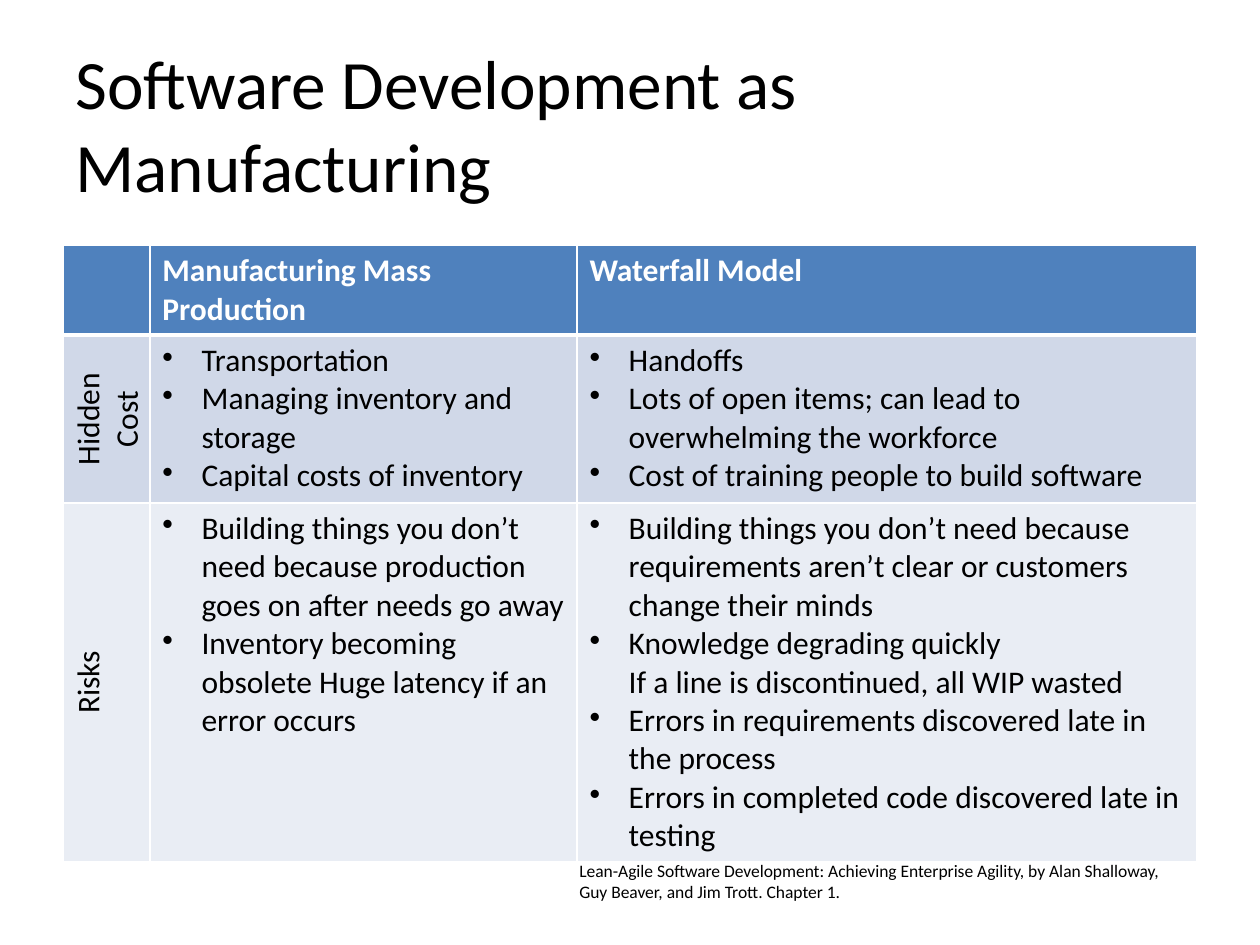
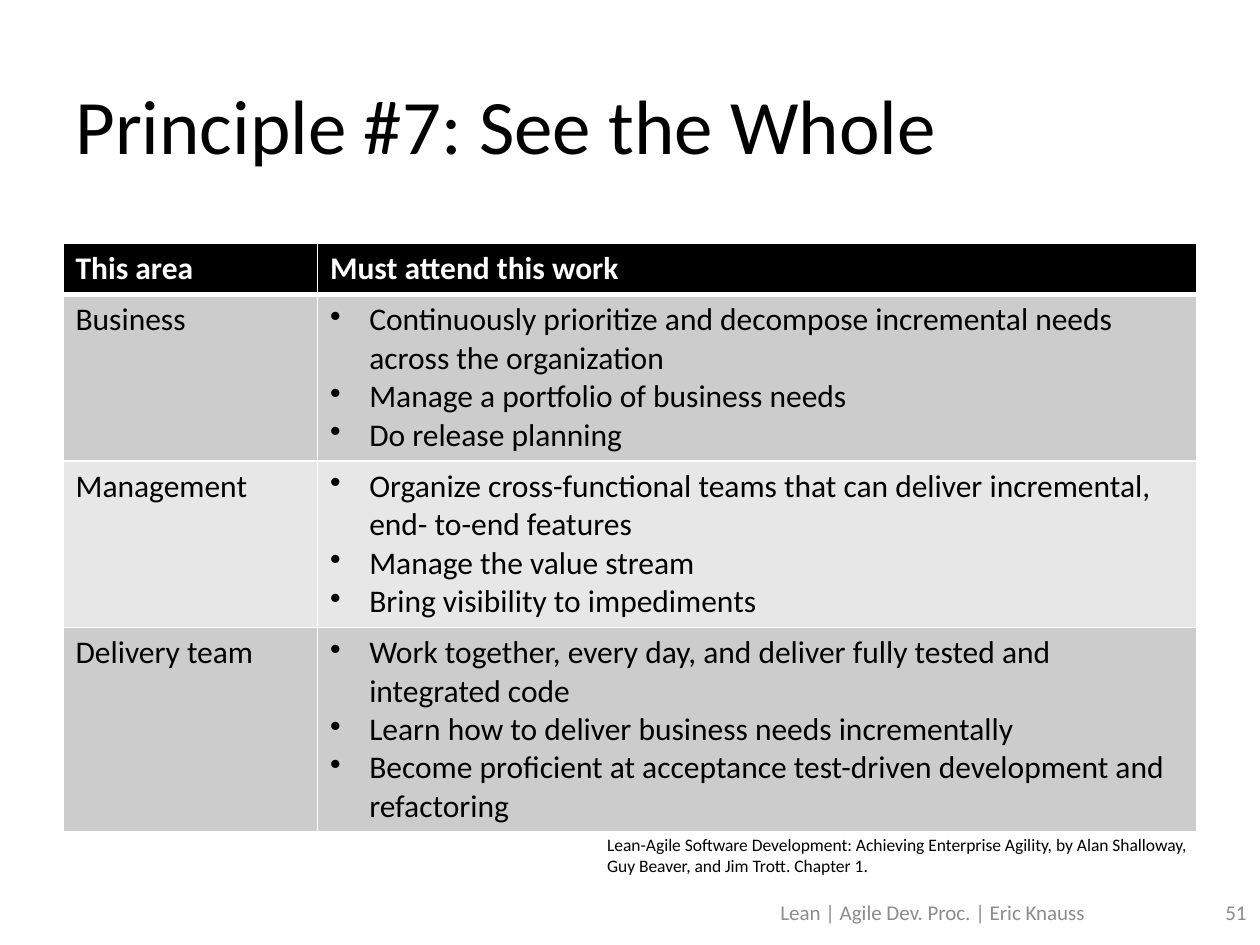
from dataclasses import dataclass
from typing import Optional

from lxml.etree import SubElement
from pptx import Presentation
from pptx.dml.color import RGBColor
from pptx.enum.text import MSO_ANCHOR as Anchor, MSO_AUTO_SIZE as AutoSize, PP_ALIGN as Align
from pptx.oxml.ns import qn
from pptx.util import Cm, Pt


# Theme shared by both slides
@dataclass(frozen=True)
class Theme:
    font: str = "Calibri"
    ink: str = "000000"
    paper: str = "FFFFFF"
    footer: str = "8C8C8C"
    blue: tuple[str, str, str] = ("4F81BD", "D0D8E8", "E9EDF4")
    gray: tuple[str, str, str] = ("000000", "CCCCCC", "E7E7E7")
    title_size: float = 44
    long_title_size: float = 39.6
    table_size: float = 18
    footer_size: float = 12
    source_size: float = 10


THEME = Theme()
LEFT, WIDTH = 1.27, 22.86
BULLET_INDENT = Cm(0.79)
LINE_HEIGHT, CELL_PADDING = 0.775, 0.254
SOURCE = ("Lean-Agile Software Development: Achieving Enterprise Agility, "
          "by Alan Shalloway, Guy Beaver, and Jim Trott. Chapter 1.")


@dataclass(frozen=True)
class Label:
    text: str
    left: float
    top: float
    width: float
    height: float
    size: float
    color: str = THEME.ink
    align: Align = Align.LEFT
    anchor: Anchor = Anchor.MIDDLE
    grow: bool = False


@dataclass(frozen=True)
class Row:
    lines: int  # text lines in the tallest cell
    area: str
    bullets: tuple[tuple[str, ...], ...]


@dataclass(frozen=True)
class Grid:
    top: float
    widths: tuple[float, ...]
    palette: tuple[str, str, str]
    header: tuple[str, ...]
    header_lines: int
    rows: tuple[Row, ...]
    upright_areas: bool = False


def style(para, size: float, color: str, bold: bool = False) -> None:
    font = para.font
    font.name, font.size, font.bold = THEME.font, Pt(size), bold
    font.color.rgb = RGBColor.from_string(color)


def draw_label(page, label: Label) -> None:
    box = page.shapes.add_textbox(
        Cm(label.left), Cm(label.top), Cm(label.width), Cm(label.height))
    frame = box.text_frame
    frame.word_wrap = True
    frame.vertical_anchor = label.anchor
    frame.auto_size = AutoSize.SHAPE_TO_FIT_TEXT if label.grow else AutoSize.NONE
    para = frame.paragraphs[0]
    para.text, para.alignment = label.text, label.align
    style(para, label.size, label.color)


def draw_title(page, text: str, size: float) -> None:
    draw_label(page, Label(text, LEFT, 1.3, WIDTH, 2.38, size))


def draw_source(page, left: float, top: float) -> None:
    draw_label(page, Label(SOURCE, left, top, 12.7, 1.12, THEME.source_size,
                           anchor=Anchor.TOP, grow=True))


def paint_cell(cell, fill: str, bottom_width: float) -> None:
    properties = cell._tc.get_or_add_tcPr()
    for side, width in (("L", 1), ("R", 1), ("T", 1), ("B", bottom_width)):
        line = SubElement(properties, qn(f"a:ln{side}"), w=str(Pt(width)))
        solid = SubElement(line, qn("a:solidFill"))
        SubElement(solid, qn("a:srgbClr"), val=THEME.paper)
    cell.fill.solid()
    cell.fill.fore_color.rgb = RGBColor.from_string(fill)


def write_bullets(cell, items: tuple[str, ...]) -> None:
    frame = cell.text_frame
    for index, item in enumerate(items):
        para = frame.add_paragraph() if index else frame.paragraphs[0]
        para.text = item
        properties = para._p.get_or_add_pPr()
        properties.set("marL", str(BULLET_INDENT))
        properties.set("indent", str(-BULLET_INDENT))
        SubElement(properties, qn("a:buChar"), char="•")
        style(para, THEME.table_size, THEME.ink)


def write_area(cell, text: str, upright: bool) -> None:
    para = cell.text_frame.paragraphs[0]
    para.text = text
    if upright:
        cell._tc.get_or_add_tcPr().set("vert", "vert270")
        cell.vertical_anchor = Anchor.MIDDLE
        para.alignment = Align.CENTER
    style(para, THEME.table_size, THEME.ink)


def draw_grid(page, grid: Grid) -> None:
    heights = [CELL_PADDING + LINE_HEIGHT * lines
               for lines in (grid.header_lines, *(row.lines for row in grid.rows))]
    table = page.shapes.add_table(
        len(heights), len(grid.widths), Cm(LEFT), Cm(grid.top),
        Cm(WIDTH), Cm(sum(heights))).table
    for column, width in zip(table.columns, grid.widths):
        column.width = Cm(width)
    for table_row, height in zip(table.rows, heights):
        table_row.height = Cm(height)

    head_fill, *bands = grid.palette
    for column, text in enumerate(grid.header):
        cell = table.cell(0, column)
        paint_cell(cell, head_fill, 3)
        para = cell.text_frame.paragraphs[0]
        para.text = text
        style(para, THEME.table_size, THEME.paper, bold=True)

    for index, row in enumerate(grid.rows):
        cells = [table.cell(index + 1, column) for column in range(len(grid.widths))]
        for cell in cells:
            paint_cell(cell, bands[index % 2], 1)
        write_area(cells[0], row.area, grid.upright_areas)
        for cell, items in zip(cells[1:], row.bullets):
            write_bullets(cell, items)


def draw_footer(page, number: Optional[str]) -> None:
    parts = (("Lean | Agile Dev. Proc. | Eric Knauss", 14.78, 8.05, Align.CENTER),
             (number, 23.04, 2.34, Align.RIGHT))
    for text, left, width, align in parts:
        draw_label(page, Label(text, left, 17.88, width, 1.02,
                               THEME.footer_size, THEME.footer, align))


# Table contents
MANUFACTURING = Grid(
    top=4.95, widths=(1.75, 8.61, 12.5), palette=THEME.blue,
    header=("", "Manufacturing Mass Production", "Waterfall Model"), header_lines=2,
    upright_areas=True,
    rows=(
        Row(4, "Hidden Cost", (
            ("Transportation",
             "Managing inventory and storage",
             "Capital costs of inventory"),
            ("Handoffs",
             "Lots of open items; can lead to overwhelming the workforce",
             "Cost of training people to build software"))),
        Row(9, "Risks", (
            ("Building things you don’t need because production goes on after needs go away",
             "Inventory becoming obsolete Huge latency if an error occurs"),
            ("Building things you don’t need because requirements aren’t clear "
             "or customers change their minds",
             "Knowledge degrading quickly\nIf a line is discontinued, all WIP wasted",
             "Errors in requirements discovered late in the process",
             "Errors in completed code discovered late in testing"))),
    ))

WHOLE = Grid(
    top=4.91, widths=(5.13, 17.73), palette=THEME.gray,
    header=("This area", "Must attend this work"), header_lines=1,
    rows=(
        Row(4, "Business", ((
            "Continuously prioritize and decompose incremental needs across the organization",
            "Manage a portfolio of business needs",
            "Do release planning"),)),
        Row(4, "Management", ((
            "Organize cross-functional teams that can deliver incremental, "
            "end- to-end features",
            "Manage the value stream",
            "Bring visibility to impediments"),)),
        Row(5, "Delivery team", ((
            "Work together, every day, and deliver fully tested and integrated code",
            "Learn how to deliver business needs incrementally",
            "Become proficient at acceptance test-driven development and refactoring"),)),
    ))


def main() -> None:
    deck = Presentation()
    deck.slide_width, deck.slide_height = Cm(25.4), Cm(19.05)
    blank = deck.slide_layouts[6]

    # Software development as manufacturing
    page = deck.slides.add_slide(blank)
    draw_title(page, "Software Development as Manufacturing", THEME.long_title_size)
    draw_grid(page, MANUFACTURING)
    draw_source(page, 11.43, 17.22)

    # See the whole
    page = deck.slides.add_slide(blank)
    draw_title(page, "Principle #7: See the Whole", THEME.title_size)
    draw_grid(page, WHOLE)
    draw_footer(page, "51")
    draw_source(page, 11.99, 16.69)

    deck.save("out.pptx")


if __name__ == "__main__":
    main()
